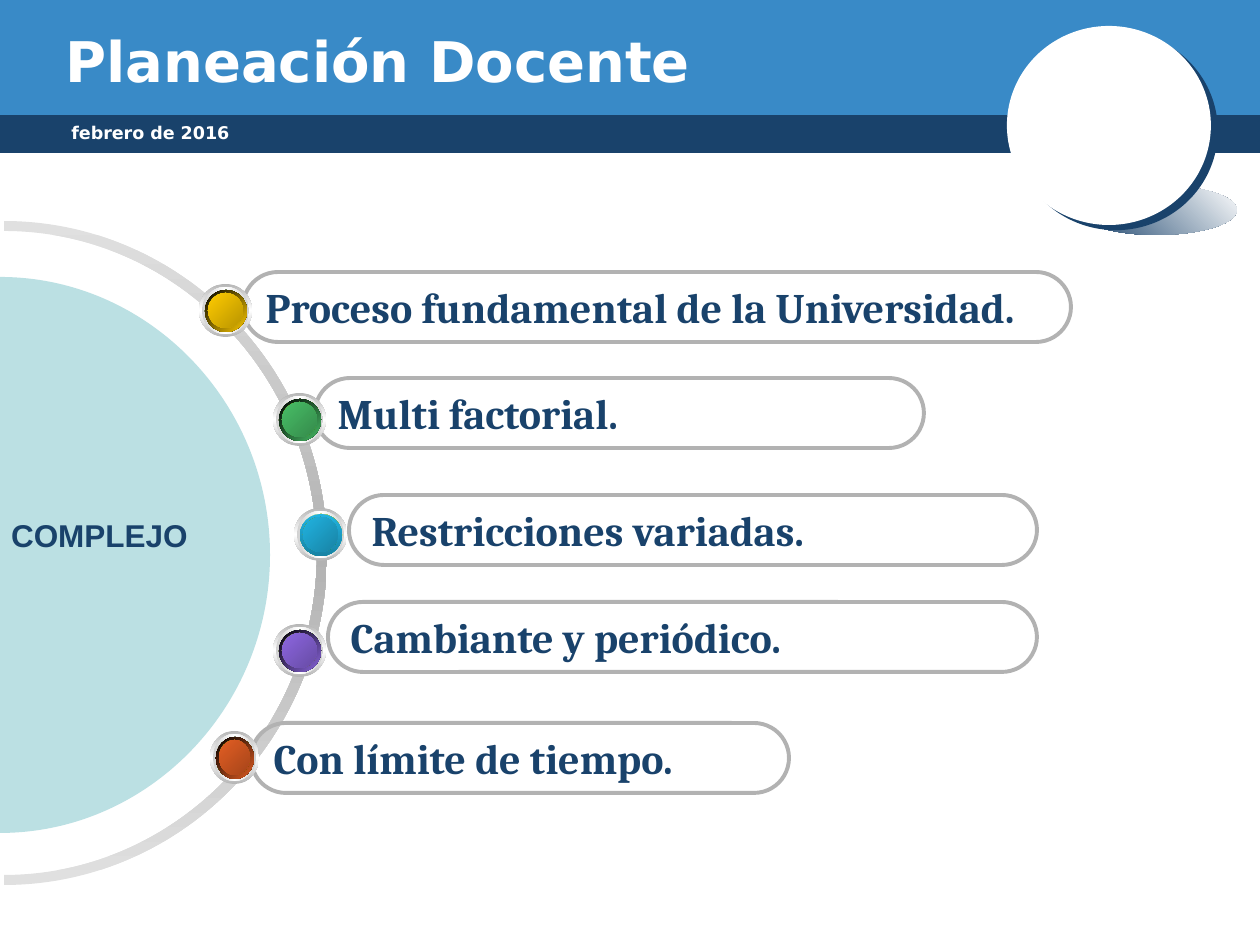
import copy
import pptx
import pptx.util
import pptx.dml.color
import pptx.enum.shapes
import pptx.enum.text
import pptx.oxml
import pptx.oxml.ns

RGB = pptx.dml.color.RGBColor
KIND = pptx.enum.shapes.MSO_SHAPE
ANCHOR = pptx.enum.text.MSO_ANCHOR
qn = pptx.oxml.ns.qn
PX = 914400 // 126
BEND = 0.55

NAVY = RGB(0x19, 0x42, 0x6B)
BLUE = RGB(0x39, 0x8A, 0xC7)
TEAL = RGB(0xBB, 0xE0, 0xE3)
WHITE = RGB(0xFF, 0xFF, 0xFF)
BLACK = RGB(0, 0, 0)
GRAY = RGB(0xB2, 0xB2, 0xB2)
PALE = RGB(0xE0, 0xE0, 0xE0)
STEEL = RGB(0xB6, 0xB6, 0xB6)
SILVER = RGB(0xD1, 0xD1, 0xD1)
LIME = RGB(0x8B, 0xBC, 0x00)
OLIVE = RGB(0x6A, 0x90, 0x00)

LABELS = [
    (" febrero de 2016", (53, 116, 819, 35), "DejaVu Sans", 10, WHITE, ANCHOR.TOP, True),
    ("Planeación Docente", (53, 21, 1018, 78), "DejaVu Sans", 32, WHITE, ANCHOR.MIDDLE, True),
    (" COMPLEJO", (-10, 510, 213, 50), "Arial", 18, NAVY, ANCHOR.TOP, False),
]
PILLS = [
    ("Proceso fundamental de la Universidad.", 243, 272, 828),
    ("Multi factorial.", 315, 378, 609),
    ("Restricciones variadas.", 349, 495, 688),
    ("Cambiante y periódico.", 328, 602, 709),
    ("Con límite de tiempo.", 251, 723, 538),
]
BALLS = [
    (199, 284, 53, RGB(0xFF, 0xCC, 0x00), RGB(0xBA, 0x95, 0x00), BLACK, 45),
    (273, 393, 53, RGB(0x48, 0xBE, 0x67), RGB(0x35, 0x8B, 0x4B), BLACK, 45),
    (294, 508, 53, RGB(0x21, 0xB3, 0xE1), RGB(0x18, 0x83, 0xA4), None, 90),
    (273, 624, 53, RGB(0x8D, 0x67, 0xE1), RGB(0x67, 0x4B, 0xA4), BLACK, 45),
    (210, 731, 49, RGB(0xE3, 0x5E, 0x23), RGB(0xA6, 0x45, 0x1A), BLACK, 45),
]
PILL_H = 70
BALL_H = 53


def blend(shape, tones, angle):
    shape.fill.gradient()
    shape.fill.gradient_angle = -angle % 360
    stops = shape._element.spPr.find(qn("a:gradFill")).find(qn("a:gsLst"))
    first = stops[0]
    for stop in list(stops):
        stops.remove(stop)
    for _ in tones:
        stops.append(copy.deepcopy(first))
    for i, (stop, tone) in enumerate(zip(shape.fill.gradient_stops, tones)):
        stop.position = i / (len(tones) - 1)
        stop.color.rgb = tone


def paint(shape, fill, angle=0):
    shape.shadow.inherit = False
    shape.line.fill.background()
    if fill is None:
        shape.fill.background()
    elif isinstance(fill, list):
        blend(shape, fill, angle)
    else:
        shape.fill.solid()
        shape.fill.fore_color.rgb = fill
    return shape


def draw(shapes, kind, box, fill, angle=0):
    return paint(shapes.add_shape(kind, *(v * PX for v in box)), fill, angle)


def write(shape, text, font, size, tone, anchor=ANCHOR.MIDDLE, wrap=True):
    frame = shape.text_frame
    frame.word_wrap = wrap
    frame.vertical_anchor = anchor
    para = frame.paragraphs[0]
    para.alignment = pptx.enum.text.PP_ALIGN.LEFT
    run = para.add_run()
    run.text = text
    run.font.name = font
    run.font.size = pptx.util.Pt(size)
    run.font.bold = True
    run.font.color.rgb = tone


def arc(left, mid, wide, high):
    right = left + wide
    return [
        (left, mid - high),
        (left + BEND * wide, mid - high), (right, mid - BEND * high), (right, mid),
        (right, mid + BEND * high), (left + BEND * wide, mid + high), (left, mid + high),
    ]


def trace(shapes, arcs, fill, angle=0):
    points = [point for part in arcs for point in part]
    pen = shapes.build_freeform(*points[0], scale=PX)
    pen.add_line_segments(points[1:], close=True)
    shape = pen.convert_to_shape()
    lines = list(shape._element.spPr.iter(qn("a:lnTo")))
    for n in range(len(arcs)):
        for start in (7 * n, 7 * n + 3):
            trio = lines[start:start + 3]
            curve = pptx.oxml.parse_xml(
                f'<a:cubicBezTo {pptx.oxml.ns.nsdecls("a")}/>')
            trio[0].addprevious(curve)
            for line in trio:
                curve.append(line[0])
                line.getparent().remove(line)
    return paint(shape, fill, angle)


def cast(shape, tone, gap, turn):
    glow = pptx.oxml.parse_xml(
        f'<a:outerShdw {pptx.oxml.ns.nsdecls("a")} dist="{gap * 12700}" '
        f'dir="{turn * 60000}" algn="ctr" rotWithShape="0">'
        f'<a:srgbClr val="{tone}"/></a:outerShdw>')
    shape._element.spPr.find(qn("a:effectLst")).append(glow)


def ball(shapes, left, top, wide, light, dark, rim, turn):
    layers = [
        (0, 53, [STEEL, WHITE, STEEL], 90),
        (3, 47, [SILVER, WHITE, SILVER], 0),
        (6, 42, [WHITE, LIME, WHITE], 45),
        (6, 42, [rim or light, light if rim else dark], turn),
        (9, 35, [OLIVE, LIME, OLIVE], 315),
        (9, 35, [light, dark], 45),
    ]
    group = shapes.add_group_shape().shapes
    for inset, size, tones, angle in layers:
        box = (left + inset, top + inset, size + wide - BALL_H, size)
        draw(group, KIND.OVAL, box, tones, angle)


def main():
    deck = pptx.Presentation()
    deck.slide_width, deck.slide_height = 1260 * PX, 945 * PX
    shapes = deck.slides.add_slide(deck.slide_layouts[6]).shapes

    draw(shapes, KIND.RECTANGLE, (0, 110, 1260, 43), NAVY)
    draw(shapes, KIND.RECTANGLE, (0, 0, 1260, 115), BLUE)
    badge = shapes.add_group_shape().shapes
    draw(badge, KIND.OVAL, (1076, 185, 161, 50), [NAVY, WHITE], 315)
    cast(draw(badge, KIND.OVAL, (1007, 26, 204, 199), WHITE), NAVY, 5, 37)
    draw(badge, KIND.OVAL, (1075, 96, 72, 68), WHITE)

    ring = [arc(4, 553, 313, 322), arc(4, 553, 323, 332)[::-1]]
    trace(shapes, ring, [PALE, GRAY, PALE], 90)
    trace(shapes, [arc(0, 555, 270, 278)], TEAL)

    for text, left, top, wide in PILLS:
        pill = draw(shapes, KIND.ROUNDED_RECTANGLE, (left, top, wide, PILL_H), None)
        pill.adjustments[0] = 0.5
        pill.line.color.rgb = GRAY
        pill.line.width = pptx.util.Pt(2.25)
        write(pill, text, "Cambria", 24, NAVY)

    for item in BALLS:
        ball(shapes, *item)

    for text, box, *style in LABELS:
        write(shapes.add_textbox(*(v * PX for v in box)), text, *style)

    deck.save("out.pptx")


if __name__ == "__main__":
    main()
